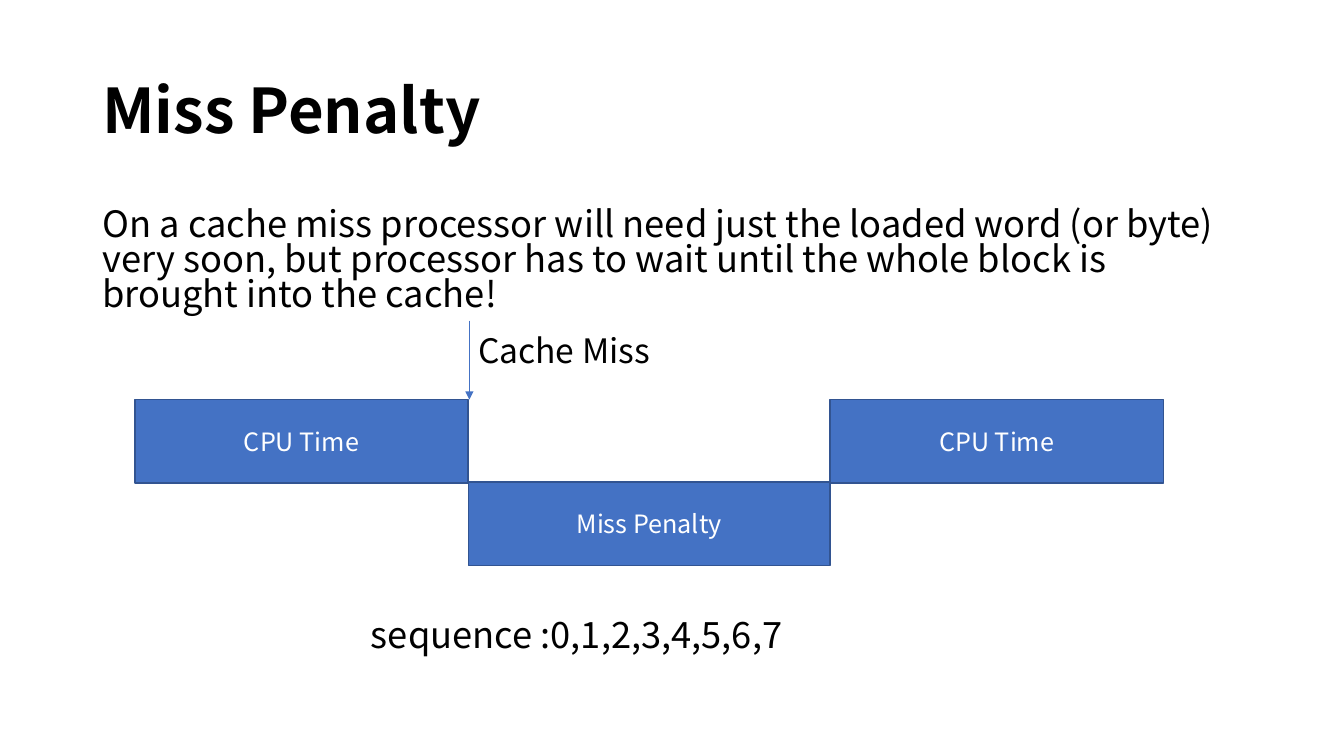
from lxml import etree
from pptx import Presentation
from pptx import util as u
from pptx.dml.color import RGBColor
from pptx.enum import shapes, text
from pptx.oxml import ns

# Content
FONT = "Noto Sans CJK SC"
BLACK, WHITE, BLUE, EDGE = "000000", "FFFFFF", "4472C4", "325491"
TITLE = "Miss Penalty"
BODY = ("On a cache miss processor will need just the loaded word (or byte) very soon, "
        "but processor has to wait until the whole block is brought into the cache!")
SEQUENCE = "sequence :0,1,2,3,4,5,6,7"
EVENT = "Cache Miss"
# Timeline phases: label, width in cm, row
PHASES = [("CPU Time", 8.4, 0), ("Miss Penalty", 9.12, 1), ("CPU Time", 8.4, 0)]

# Layout in cm
MARGIN, CONTENT_WIDTH = 2.33, 29.21
TIMELINE_LEFT, TIMELINE_TOP = 3.4, 10.07
PHASE_HEIGHT, ROW_STEP = 2.1, 2.08
ARROW_TOP = 8.08


def colour(value):
    return RGBColor.from_string(value)


def write(shape, words, size, ink=BLACK, bold=False, spacing=1.0,
          align=text.PP_ALIGN.LEFT, anchor=text.MSO_ANCHOR.TOP):
    frame = shape.text_frame
    frame.word_wrap = True
    frame.vertical_anchor = anchor
    para = frame.paragraphs[0]
    para.alignment = align
    para.line_spacing = spacing
    span = para.add_run()
    span.text = words
    span.font.name = FONT
    span.font.size = u.Pt(size)
    span.font.bold = bold
    span.font.color.rgb = colour(ink)
    # The same face for East Asian text
    etree.SubElement(span.font._element, ns.qn("a:ea"), typeface=FONT)


def add_text(page, words, left, top, width, height, **style):
    box = page.shapes.add_textbox(u.Cm(left), u.Cm(top), u.Cm(width), u.Cm(height))
    write(box, words, **style)


def add_phase(page, label, left, top, width):
    box = page.shapes.add_shape(shapes.MSO_SHAPE.RECTANGLE, u.Cm(left), u.Cm(top),
                                u.Cm(width), u.Cm(PHASE_HEIGHT))
    box.shadow.inherit = False
    box.fill.solid()
    box.fill.fore_color.rgb = colour(BLUE)
    box.line.color.rgb = colour(EDGE)
    box.line.width = u.Pt(1)
    write(box, label, size=18, ink=WHITE, align=text.PP_ALIGN.CENTER,
          anchor=text.MSO_ANCHOR.MIDDLE)


def add_arrow(page, x, top, bottom):
    arrow = page.shapes.add_connector(shapes.MSO_CONNECTOR.STRAIGHT,
                                      u.Cm(x), u.Cm(top), u.Cm(x), u.Cm(bottom))
    arrow.line.color.rgb = colour(BLUE)
    arrow.line.width = u.Pt(0.5)
    etree.SubElement(arrow.line._get_or_add_ln(), ns.qn("a:tailEnd"), type="triangle")
    etree.SubElement(arrow._element.spPr, ns.qn("a:effectLst"))


def main():
    deck = Presentation()
    deck.slide_width, deck.slide_height = u.Cm(33.87), u.Cm(19.05)
    page = deck.slides.add_slide(deck.slide_layouts[6])

    # Title and explanation
    add_text(page, TITLE, MARGIN, 1.01, CONTENT_WIDTH, 3.68, size=44, bold=True,
             spacing=0.9, anchor=text.MSO_ANCHOR.MIDDLE)
    add_text(page, BODY, MARGIN, 5.17, CONTENT_WIDTH, 2.9, size=25.9, spacing=0.8)

    # Timeline: each phase starts where the last one ends
    left = TIMELINE_LEFT
    for label, width, row in PHASES:
        add_phase(page, label, left, TIMELINE_TOP + row * ROW_STEP, width)
        left += width

    # The miss happens at the end of the first phase
    miss = TIMELINE_LEFT + PHASES[0][1]
    add_arrow(page, miss + 0.03, ARROW_TOP, TIMELINE_TOP)
    add_text(page, EVENT, miss, 8.2, 6.07, 1.27, size=24)

    # Access order
    add_text(page, SEQUENCE, 9.1, 15.51, 12, 1.3, size=25.9, spacing=0.8)

    deck.save("out.pptx")


if __name__ == "__main__":
    main()
